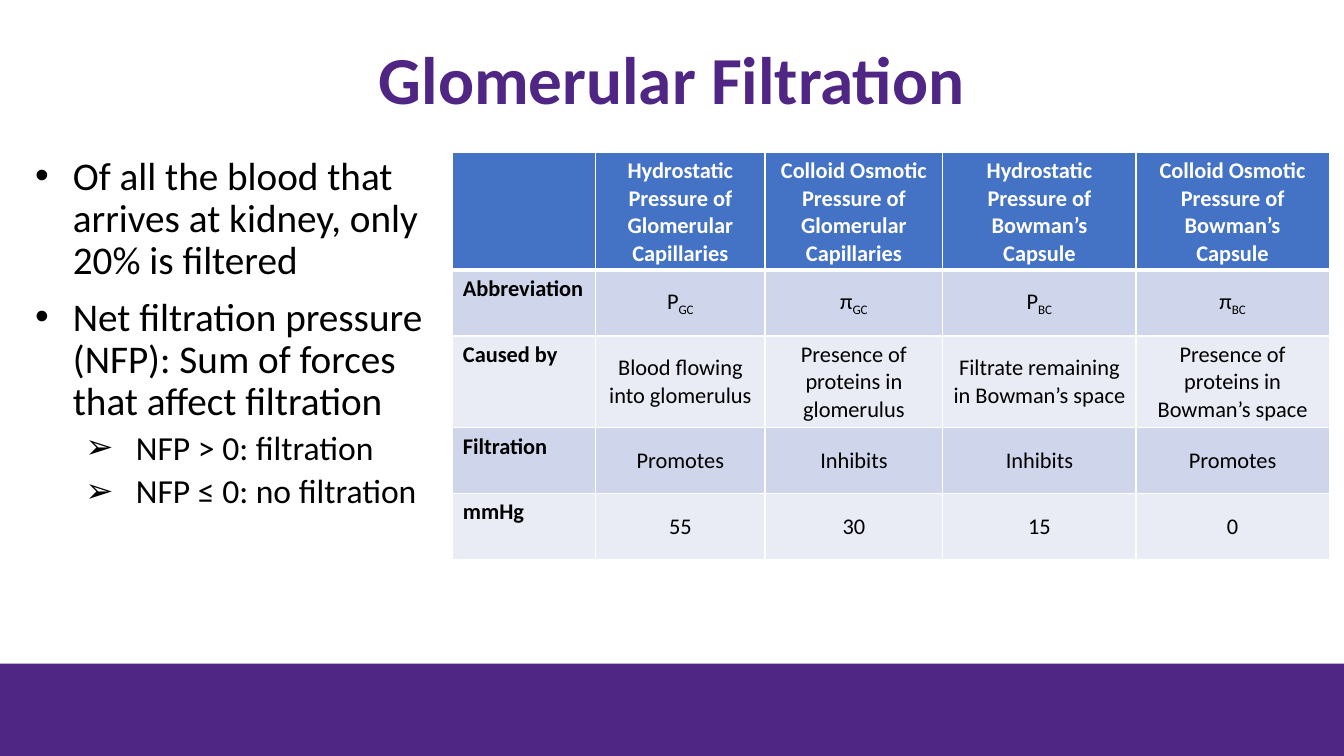
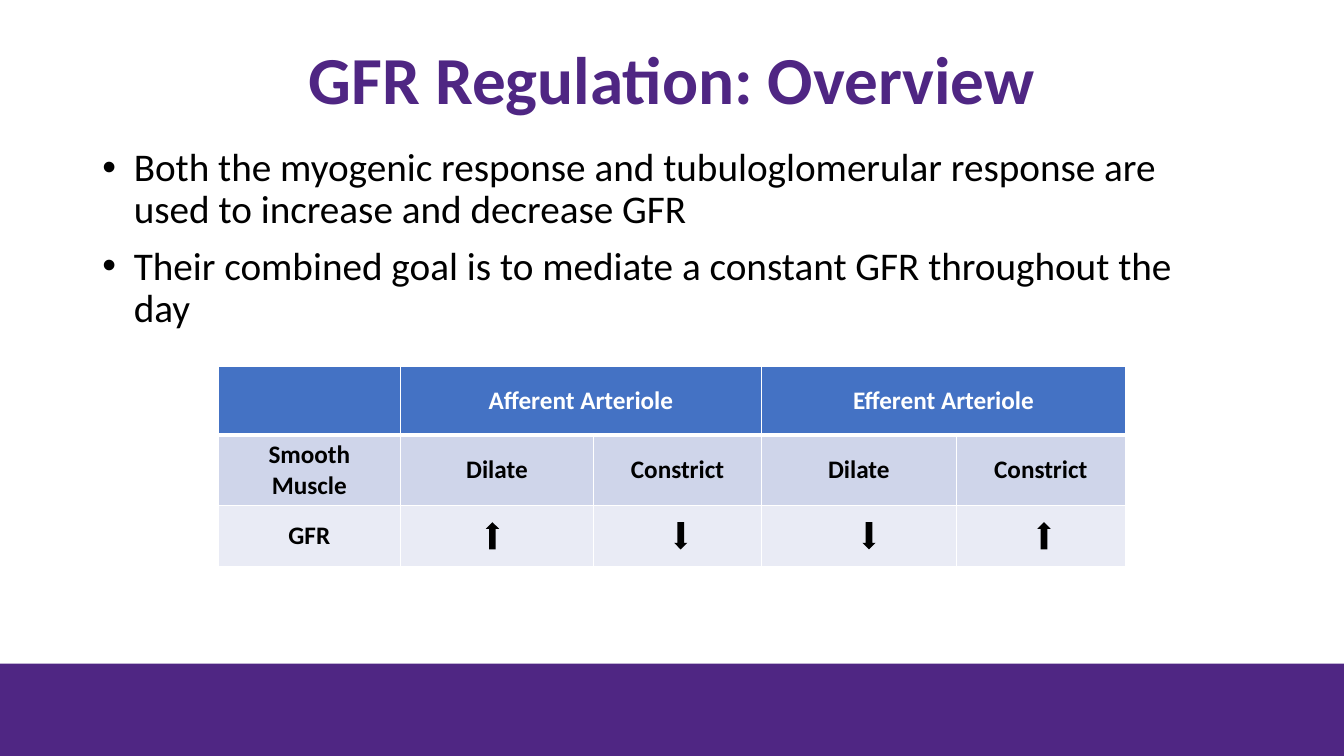
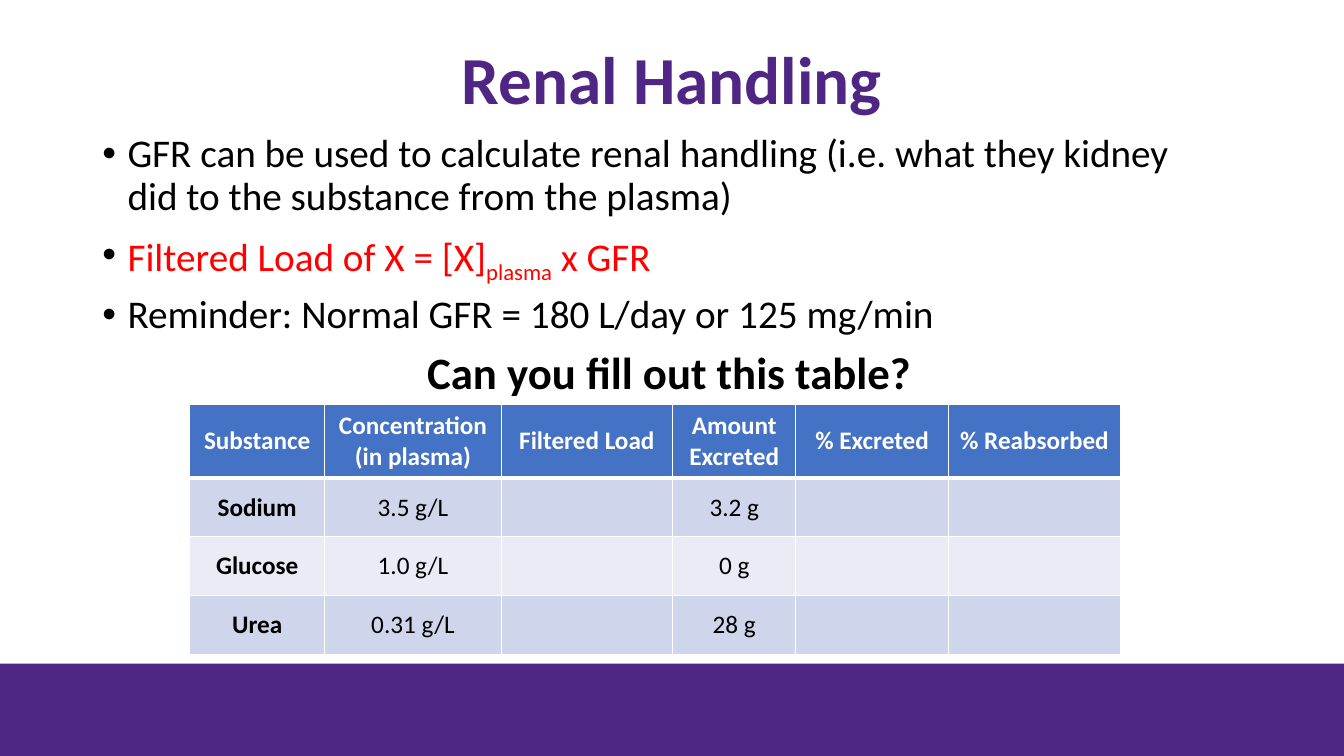
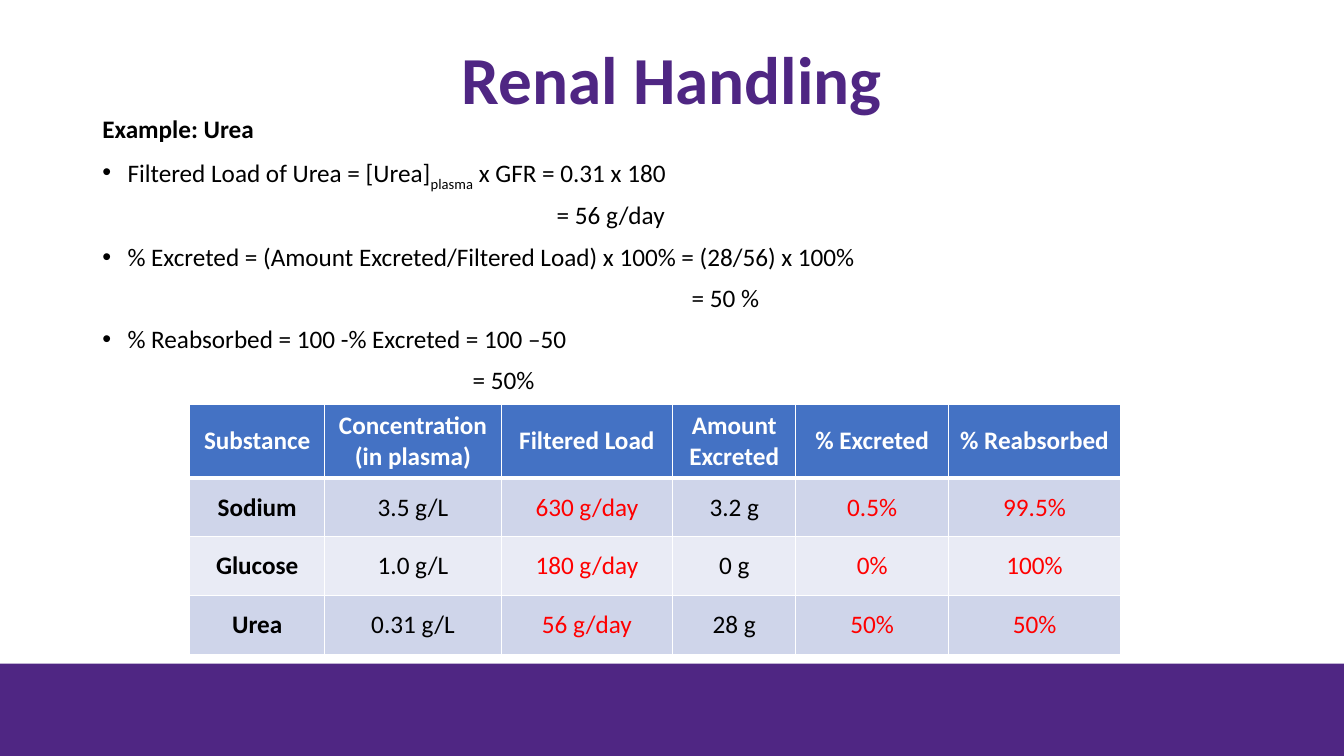
from lxml import etree
from pptx import Presentation
from pptx.dml.color import RGBColor
from pptx.enum.shapes import MSO_SHAPE
from pptx.enum.text import MSO_ANCHOR, MSO_AUTO_SIZE, PP_ALIGN
from pptx.oxml.ns import qn
from pptx.util import Pt

PURPLE = RGBColor(0x4F, 0x26, 0x83)
BLUE = RGBColor(0x44, 0x72, 0xC4)
BAND_DARK = RGBColor(0xCF, 0xD5, 0xEA)
BAND_LIGHT = RGBColor(0xE9, 0xEB, 0xF5)
BLACK = RGBColor(0, 0, 0)
WHITE = RGBColor(0xFF, 0xFF, 0xFF)
RED = RGBColor(0xFF, 0, 0)

FONT = "Calibri"
LEFT, CENTER = PP_ALIGN.LEFT, PP_ALIGN.CENTER
TOP, MIDDLE = MSO_ANCHOR.TOP, MSO_ANCHOR.MIDDLE
FIT_SHAPE = MSO_AUTO_SIZE.SHAPE_TO_FIT_TEXT
RECTANGLE = MSO_SHAPE.RECTANGLE
UP, DOWN = MSO_SHAPE.UP_ARROW, MSO_SHAPE.DOWN_ARROW

TITLE_ONLY = 5
SLIDE_WIDTH, SLIDE_HEIGHT = 960, 540
BAND_TOP = 474
BODY_LEFT, BODY_WIDTH = 66, 793.5

PRESSURES = [
    ["", "Hydrostatic Pressure of Glomerular Capillaries",
     "Colloid Osmotic Pressure of Glomerular Capillaries",
     "Hydrostatic Pressure of Bowman’s Capsule",
     "Colloid Osmotic Pressure of Bowman’s Capsule"],
    ["Abbreviation", "P~GC~", "π~GC~", "P~BC~", "π~BC~"],
    ["Caused by", "Blood flowing into glomerulus",
     "Presence of proteins in glomerulus",
     "Filtrate remaining in Bowman’s space",
     "Presence of proteins in Bowman’s space"],
    ["Filtration", "Promotes", "Inhibits", "Inhibits", "Promotes"],
    ["mmHg", "55", "30", "15", "0"],
]
ARTERIOLES = [
    ["", "Afferent Arteriole", "", "Efferent Arteriole", ""],
    ["Smooth Muscle", "Dilate", "Constrict", "Dilate", "Constrict"],
    ["GFR", "", "", "", ""],
]
SUBSTANCES = [
    ["Substance", "Concentration (in plasma)", "Filtered Load",
     "Amount Excreted", "% Excreted", "% Reabsorbed"],
    ["Sodium", "3.5 g/L", "630 g/day", "3.2 g", "0.5%", "99.5%"],
    ["Glucose", "1.0 g/L", "180 g/day", "0 g", "0%", "100%"],
    ["Urea", "0.31 g/L", "56 g/day", "28 g", "50%", "50%"],
]
ANSWER_COLUMNS = (2, 4, 5)


def write(paragraph, text, size, color=BLACK, bold=False):
    """Fill a paragraph; text between two ~ signs is subscript."""
    for index, part in enumerate(text.split("~")):
        if part:
            run = paragraph.add_run()
            run.text = part
            if index % 2:
                run._r.get_or_add_rPr().set("baseline", "-25000")
    font = paragraph.font
    font.name, font.size, font.bold = FONT, Pt(size), bold
    font.color.rgb = color


def add_solid_shape(slide, kind, left, top, width, height, color):
    shape = slide.shapes.add_shape(kind, Pt(left), Pt(top), Pt(width), Pt(height))
    shape.shadow.inherit = False
    shape.fill.solid()
    shape.fill.fore_color.rgb = color
    shape.line.fill.background()


def add_titled_slide(presentation, text):
    """Add a slide with the shared title style and bottom band."""
    slide = presentation.slides.add_slide(presentation.slide_layouts[TITLE_ONLY])
    title = slide.shapes.title
    title.left, title.top, title.width, title.height = Pt(66), Pt(16), Pt(828), Pt(86)
    title.text_frame.vertical_anchor = MIDDLE
    paragraph = title.text_frame.paragraphs[0]
    paragraph.alignment = CENTER
    paragraph.line_spacing = 0.9
    write(paragraph, text, 48, PURPLE, bold=True)
    add_solid_shape(slide, RECTANGLE, 0, BAND_TOP, SLIDE_WIDTH,
                    SLIDE_HEIGHT - BAND_TOP, PURPLE)
    return slide


def add_body(slide, left, top, width, height):
    frame = slide.shapes.add_textbox(Pt(left), Pt(top), Pt(width), Pt(height)).text_frame
    frame.word_wrap = True
    return frame


def add_line(frame, text, size=28, color=BLACK, bold=False, bullet=None,
             margin=0, hanging=0, space=10):
    """Append a paragraph, with a hanging bullet if one is given."""
    first = not frame.paragraphs[0].runs
    paragraph = frame.paragraphs[0] if first else frame.add_paragraph()
    properties = paragraph._p.get_or_add_pPr()
    properties.set("marL", str(Pt(margin)))
    properties.set("indent", str(-Pt(hanging)))
    if bullet:
        bullet_color = etree.SubElement(properties, qn("a:buClr"))
        etree.SubElement(bullet_color, qn("a:srgbClr"), val=str(BLACK))
        etree.SubElement(properties, qn("a:buFont"), typeface="Arial")
        etree.SubElement(properties, qn("a:buChar"), char=bullet)
    paragraph.line_spacing = 0.9
    paragraph.space_before = Pt(0 if first else space)
    write(paragraph, text, size, color, bold)


def add_bullet(frame, text, hanging=18, **style):
    add_line(frame, text, bullet="•", margin=hanging, hanging=hanging, **style)


def set_borders(cell, top, bottom):
    """Draw white borders, 1 pt at the sides."""
    properties = cell._tc.get_or_add_tcPr()
    for side, width in (("L", 1), ("R", 1), ("T", top), ("B", bottom)):
        line = etree.SubElement(properties, qn(f"a:ln{side}"), w=str(Pt(width)))
        fill = etree.SubElement(line, qn("a:solidFill"))
        etree.SubElement(fill, qn("a:srgbClr"), val=str(WHITE))


def add_banded_table(slide, left, top, widths, heights, rows, size,
                     bold_columns=(0,), red_columns=(), labels_top_left=False):
    table = slide.shapes.add_table(len(rows), len(widths), Pt(left), Pt(top),
                                   Pt(sum(widths)), Pt(sum(heights))).table
    table.horz_banding = False
    for column, width in zip(table.columns, widths):
        column.width = Pt(width)
    for row, height in zip(table.rows, heights):
        row.height = Pt(height)
    for row_index, texts in enumerate(rows):
        header = row_index == 0
        band = BAND_DARK if row_index % 2 else BAND_LIGHT
        for column_index, text in enumerate(texts):
            cell = table.cell(row_index, column_index)
            set_borders(cell, 3 if row_index == 1 else 1, 3 if header else 1)
            cell.fill.solid()
            cell.fill.fore_color.rgb = BLUE if header else band
            corner = labels_top_left and column_index == 0
            cell.vertical_anchor = TOP if corner else MIDDLE
            paragraph = cell.text_frame.paragraphs[0]
            paragraph.alignment = LEFT if corner else CENTER
            body_color = RED if column_index in red_columns else BLACK
            write(paragraph, text, size, WHITE if header else body_color,
                  bold=header or column_index in bold_columns)
    return table


def add_substance_table(slide, show_answers):
    rows = [SUBSTANCES[0]]
    for values in SUBSTANCES[1:]:
        rows.append([value if show_answers or index not in ANSWER_COLUMNS else ""
                     for index, value in enumerate(values)])
    add_banded_table(slide, 135.5, 289, [96.5, 126, 122.5, 88, 109, 123],
                     [52.5, 42, 42, 42], rows, 18, red_columns=ANSWER_COLUMNS)


def build_filtration(presentation):
    slide = add_titled_slide(presentation, "Glomerular Filtration")
    body = add_body(slide, 18, 108, 305, 353.5)
    for text in ("Of all the blood that arrives at kidney, only 20% is filtered",
                 "Net filtration pressure (NFP): Sum of forces that affect filtration"):
        add_bullet(body, text, hanging=27)
    for text in ("NFP > 0: filtration", "NFP ≤ 0: no filtration"):
        add_line(body, text, size=24, bullet="➢", margin=72, hanging=36, space=5)
    add_banded_table(slide, 323.5, 109, [102, 121, 127, 138, 138],
                     [84, 47, 65.5, 47, 47], PRESSURES, 16, labels_top_left=True)


def build_regulation(presentation):
    slide = add_titled_slide(presentation, "GFR Regulation: Overview")
    body = add_body(slide, BODY_LEFT, 102, BODY_WIDTH, 338)
    for text in ("Both the myogenic response and tubuloglomerular response are used "
                 "to increase and decrease GFR",
                 "Their combined goal is to mediate a constant GFR throughout the day"):
        add_bullet(body, text, hanging=22.5)
    table = add_banded_table(slide, 156, 261.5, [130, 138, 120, 139, 121],
                             [49, 50.5, 44], ARTERIOLES, 18, bold_columns=range(5))
    for column in (1, 3):
        table.cell(0, column).merge(table.cell(0, column + 1))
    for kind, left in ((UP, 347), (DOWN, 481.5), (DOWN, 616), (UP, 741)):
        add_solid_shape(slide, kind, left, 373, 9.5, 19.5, BLACK)


def build_handling(presentation):
    slide = add_titled_slide(presentation, "Renal Handling")
    body = add_body(slide, BODY_LEFT, 92, BODY_WIDTH, 348)
    add_bullet(body, "GFR can be used to calculate renal handling (i.e. what they "
                     "kidney did to the substance from the plasma)")
    add_bullet(body, "Filtered Load of X = [X]~plasma~ x GFR", color=RED)
    add_bullet(body, "Reminder: Normal GFR = 180 L/day or 125 mg/min")
    prompt = slide.shapes.add_textbox(Pt(298), Pt(242.5), Pt(363.5), Pt(46)).text_frame
    prompt.word_wrap = False
    prompt.auto_size = FIT_SHAPE
    write(prompt.paragraphs[0], "Can you fill out this table?", 32, bold=True)
    add_substance_table(slide, show_answers=False)


def build_example(presentation):
    slide = add_titled_slide(presentation, "Renal Handling")
    body = add_body(slide, BODY_LEFT, 80, BODY_WIDTH, 203)
    add_line(body, "Example: Urea", size=18, bold=True)
    for formula, result, margin in (
            ("Filtered Load of Urea = [Urea]~plasma~ x GFR = 0.31 x 180",
             "= 56 g/day", 324.5),
            ("% Excreted = (Amount Excreted/Filtered Load) x 100% = (28/56) x 100%",
             "= 50 %", 421),
            ("% Reabsorbed = 100 -% Excreted = 100 –50", "= 50%", 264.5)):
        add_bullet(body, formula, size=18)
        add_line(body, result, size=18, margin=margin)
    add_substance_table(slide, show_answers=True)


def main():
    presentation = Presentation()
    presentation.slide_width = Pt(SLIDE_WIDTH)
    presentation.slide_height = Pt(SLIDE_HEIGHT)
    build_filtration(presentation)
    build_regulation(presentation)
    build_handling(presentation)
    build_example(presentation)
    presentation.save("out.pptx")


if __name__ == "__main__":
    main()
